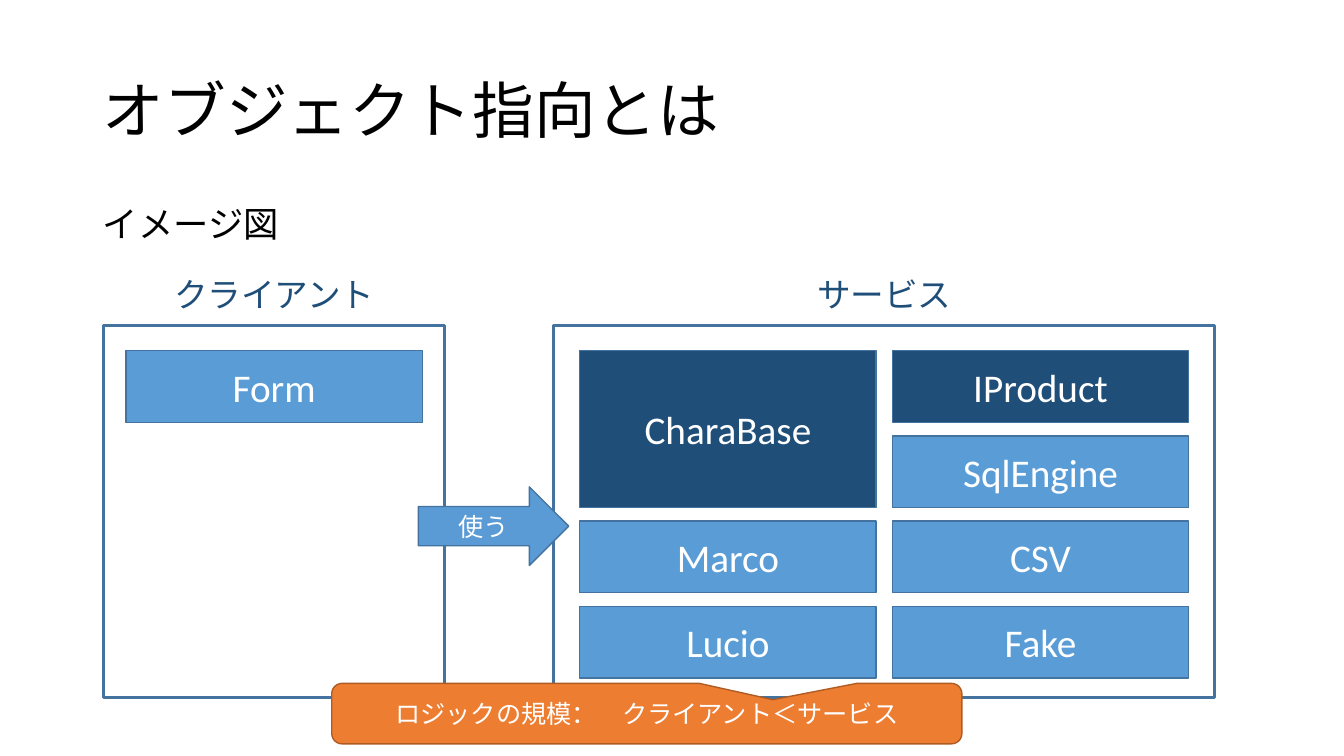
from dataclasses import dataclass

from lxml.etree import SubElement
from pptx import Presentation
from pptx.dml.color import RGBColor
from pptx.enum.shapes import MSO_SHAPE as Shape
from pptx.enum.text import MSO_ANCHOR as Anchor, MSO_AUTO_SIZE as AutoSize, PP_ALIGN as Align
from pptx.oxml.ns import qn
from pptx.util import Inches, Pt


@dataclass(frozen=True)
class Theme:
    """Colours, fonts and type sizes of the slide."""
    ink: str = "000000"
    white: str = "FFFFFF"
    navy: str = "1F4E79"
    blue: str = "5A9DD6"
    arrow: str = "5B9BD5"
    outline: str = "43739E"
    orange: str = "ED7D31"
    orange_line: str = "AF5C24"
    latin: str = "Calibri"
    japanese: str = "Noto Sans CJK JP"
    title: float = 44
    lead: float = 25.2
    heading: float = 24
    card: float = 28
    note: float = 18


@dataclass(frozen=True)
class Box:
    """A rectangle in inches."""
    left: float
    top: float
    width: float
    height: float

    def emu(self):
        """Return the four lengths for python-pptx."""
        return [Inches(v) for v in (self.left, self.top, self.width, self.height)]


THEME = Theme()
CARD_WIDTH, CARD_HEIGHT = 2.94, 0.71
COLUMN_STEP, ROW_STEP = 3.1, 0.845
PANEL_TOP, PANEL_HEIGHT, CARDS_INSET = 3.23, 3.69, 0.25


def write(owner, text, size, color, latin, align, anchor=Anchor.MIDDLE):
    """Fill a shape with one formatted paragraph and return it."""
    frame = owner.text_frame
    frame.text = text
    frame.word_wrap = True
    frame.auto_size = AutoSize.NONE
    frame.vertical_anchor = anchor
    paragraph = frame.paragraphs[0]
    paragraph.alignment = align
    font = paragraph.runs[0].font
    font.size = Pt(size)
    font.name = latin
    font.color.rgb = RGBColor.from_string(color)
    SubElement(font._element, qn("a:ea"), typeface=THEME.japanese)
    return paragraph


def place(placeholder, box):
    """Move a placeholder to a box."""
    placeholder.left, placeholder.top, placeholder.width, placeholder.height = box.emu()


def add_block(slide, kind, box, fill=None, line=THEME.outline, weight=1):
    """Draw a flat outlined shape."""
    block = slide.shapes.add_shape(kind, *box.emu())
    block.shadow.inherit = False
    if fill:
        block.fill.solid()
        block.fill.fore_color.rgb = RGBColor.from_string(fill)
    else:
        block.fill.background()
    block.line.color.rgb = RGBColor.from_string(line)
    block.line.width = Pt(weight)
    return block


def label(block, text, size):
    """Centre white text in a block."""
    write(block, text, size, THEME.white, THEME.latin, Align.CENTER)


def add_header(slide, title_box, lead_box):
    """Fill the title and the lead line."""
    title, lead = slide.shapes.title, slide.placeholders[1]
    place(title, title_box)
    place(lead, lead_box)
    write(title, "オブジェクト指向とは", THEME.title, THEME.ink,
          THEME.japanese, Align.LEFT).line_spacing = 0.9
    paragraph = write(lead, "イメージ図", THEME.lead, THEME.ink,
                      THEME.japanese, Align.LEFT, Anchor.TOP)
    paragraph.line_spacing = 0.9
    paragraph.space_before = Pt(10)
    properties = paragraph._p.get_or_add_pPr()
    properties.set("marL", "0")
    properties.set("indent", "0")
    SubElement(properties, qn("a:buNone"))


def add_panel(slide, box, heading, cards, columns):
    """Draw a headed frame with cards on its grid of columns and rows."""
    add_block(slide, Shape.RECTANGLE, box, weight=2.25)
    heading_box = Box(box.left, box.top - 0.56, box.width, 0.55)
    caption = slide.shapes.add_textbox(*heading_box.emu())
    paragraph = write(caption, heading, THEME.heading, THEME.navy,
                      THEME.japanese, Align.CENTER)
    paragraph.line_spacing = 0.9
    paragraph.space_before = Pt(10)
    grid_width = (columns - 1) * COLUMN_STEP + CARD_WIDTH
    grid_left = box.left + (box.width - grid_width) / 2
    for name, column, row, span, fill in cards:
        card_box = Box(grid_left + column * COLUMN_STEP,
                       box.top + CARDS_INSET + row * ROW_STEP,
                       CARD_WIDTH, CARD_HEIGHT + (span - 1) * ROW_STEP)
        label(add_block(slide, Shape.RECTANGLE, card_box, fill), name, THEME.card)


def add_use_arrow(slide, box):
    """Draw the arrow from client to service."""
    label(add_block(slide, Shape.RIGHT_ARROW, box, THEME.arrow), "使う", THEME.note)


def add_scale_callout(slide, box):
    """Draw the callout comparing the amount of logic."""
    callout = add_block(slide, Shape.ROUNDED_RECTANGULAR_CALLOUT, box,
                        THEME.orange, THEME.orange_line)
    for index, value in enumerate((0.2, -0.23, 0.17)):
        callout.adjustments[index] = value
    label(callout, "ロジックの規模：　クライアント＜サービス", THEME.note)


def main():
    """Build and save the slide."""
    deck = Presentation()
    deck.slide_width, deck.slide_height = Inches(13.33), Inches(7.5)
    slide = deck.slides.add_slide(deck.slide_layouts[1])
    add_header(slide, Box(0.92, 0.4, 11.5, 1.45), Box(0.92, 2, 2.37, 0.55))
    client_cards = [("Form", 0, 0, 1, THEME.blue)]
    service_cards = [
        ("CharaBase", 0, 0, 2, THEME.navy),
        ("Marco", 0, 2, 1, THEME.blue),
        ("Lucio", 0, 3, 1, THEME.blue),
        ("IProduct", 1, 0, 1, THEME.navy),
        ("SqlEngine", 1, 1, 1, THEME.blue),
        ("CSV", 1, 2, 1, THEME.blue),
        ("Fake", 1, 3, 1, THEME.blue),
    ]
    add_panel(slide, Box(1.03, PANEL_TOP, 3.38, PANEL_HEIGHT),
              "クライアント", client_cards, columns=1)
    add_panel(slide, Box(5.49, PANEL_TOP, 6.56, PANEL_HEIGHT),
              "サービス", service_cards, columns=2)
    add_use_arrow(slide, Box(4.15, 4.83, 1.49, 0.78))
    add_scale_callout(slide, Box(3.29, 6.78, 6.25, 0.6))
    deck.save("out.pptx")


if __name__ == "__main__":
    main()
